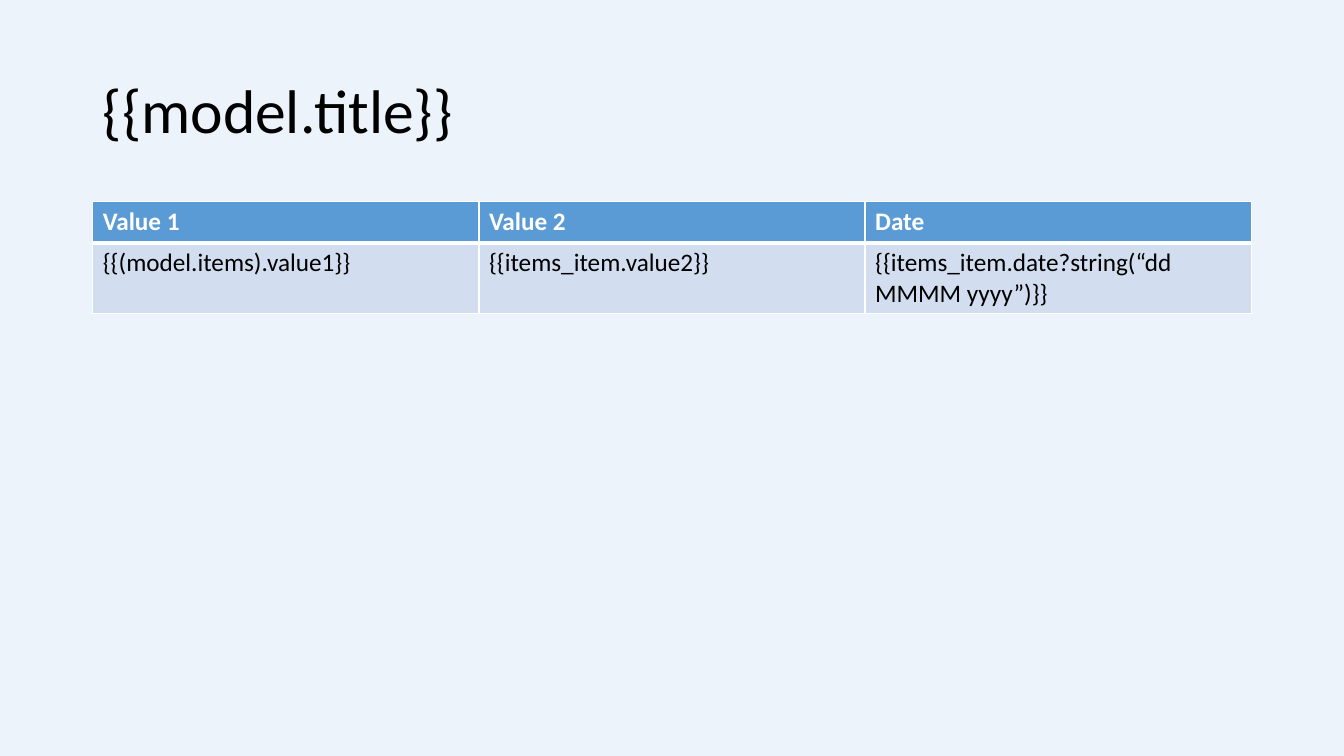
from lxml import etree
from pptx import Presentation
from pptx.dml.color import RGBColor
from pptx.enum.text import MSO_ANCHOR
from pptx.oxml.ns import qn
from pptx.util import Inches, Pt

TITLE = "{{model.title}}"
ROWS = [
    ["Value 1", "Value 2", "Date"],
    ["{{(model.items).value1}}", "{{items_item.value2}}",
     "{{items_item.date?string(“dd MMMM yyyy”)}}"],
]

FONT = "Calibri"
BACKGROUND = RGBColor(0xEC, 0xF3, 0xFA)
HEADER_BLUE = RGBColor(0x5B, 0x9B, 0xD5)
BODY_BLUE = RGBColor(0xD2, 0xDE, 0xEF)
BLACK = RGBColor(0, 0, 0)
WHITE = RGBColor(0xFF, 0xFF, 0xFF)

ROW_STYLES = [
    {"height": 0.41, "fill": HEADER_BLUE, "color": WHITE, "bold": True,
     "borders": {"L": 1, "R": 1, "T": 1, "B": 3}},
    {"height": 0.7, "fill": BODY_BLUE, "color": BLACK, "bold": False,
     "borders": {"L": 1, "R": 1, "T": 3, "B": 1}},
]


def write(frame, text, size, color, bold=False):
    paragraph = frame.paragraphs[0]
    run = paragraph.add_run()
    run.text = text
    run.font.name = FONT
    run.font.size = Pt(size)
    run.font.bold = bold
    run.font.color.rgb = color
    return paragraph


def set_borders(cell, widths):
    properties = cell._tc.get_or_add_tcPr()
    for index, (side, width) in enumerate(widths.items()):
        line = etree.Element(qn(f"a:ln{side}"), w=str(Pt(width)))
        fill = etree.SubElement(line, qn("a:solidFill"))
        etree.SubElement(fill, qn("a:srgbClr"), val=str(WHITE))
        properties.insert(index, line)


prs = Presentation()
prs.slide_width, prs.slide_height = Inches(13.33), Inches(7.5)
slide = prs.slides.add_slide(prs.slide_layouts[6])
slide.background.fill.solid()
slide.background.fill.fore_color.rgb = BACKGROUND

margin = Inches(0.92)
content_width = prs.slide_width - 2 * margin

title = slide.shapes.add_textbox(margin, Inches(0.4), content_width, Inches(1.45))
title.text_frame.word_wrap = True
title.text_frame.vertical_anchor = MSO_ANCHOR.MIDDLE
write(title.text_frame, TITLE, 44, BLACK).line_spacing = 0.9

table_height = Inches(sum(style["height"] for style in ROW_STYLES))
table = slide.shapes.add_table(len(ROWS), len(ROWS[0]), margin, Inches(2),
                               content_width, table_height).table
for row, texts, style in zip(table.rows, ROWS, ROW_STYLES):
    row.height = Inches(style["height"])
    for cell, text in zip(row.cells, texts):
        cell.fill.solid()
        cell.fill.fore_color.rgb = style["fill"]
        write(cell.text_frame, text, 18, style["color"], style["bold"])
        set_borders(cell, style["borders"])

prs.save("out.pptx")
